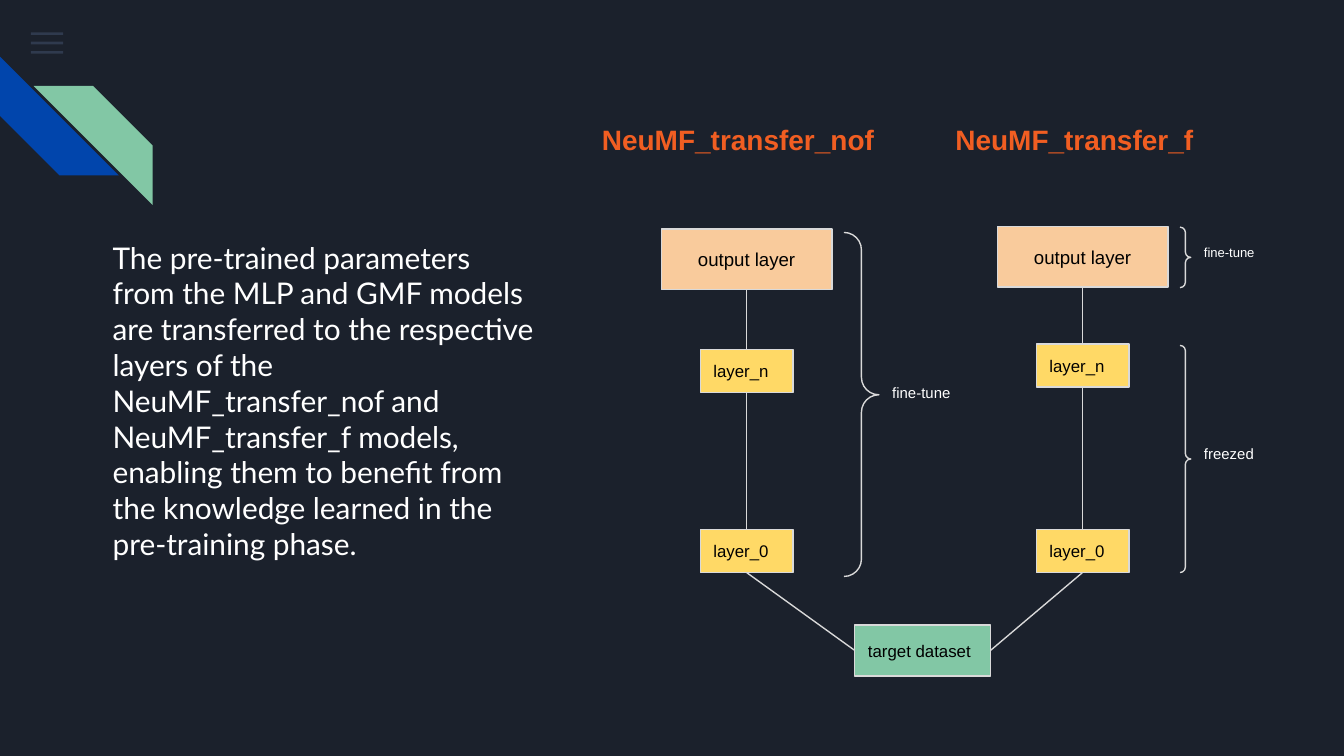
from pptx import Presentation
from pptx.dml.color import RGBColor
from pptx.enum.shapes import MSO_CONNECTOR, MSO_SHAPE
from pptx.enum.text import MSO_ANCHOR, MSO_AUTO_SIZE, PP_ALIGN
from pptx.oxml.ns import qn
from pptx.util import Inches, Pt
from lxml.etree import SubElement

COLORS = {
    "background": "1B212C", "menu": "55688B", "blue": "0145AC",
    "green": "82C7A5", "peach": "F9CB9C", "yellow": "FFD966",
    "line": "D9D9D9", "orange": "F15E22", "white": "FFFFFF", "black": "000000",
}
COLUMNS, ROWS = 100, 56.25
TOP, LEFT, BOTTOM, RIGHT = range(4)


def rgb(name):
    return RGBColor.from_string(COLORS[name])


class Slide:
    """Holds the style and the page; places are (column, row, columns, rows)."""

    def __init__(self, deck, font="Arial", line_width=0.75):
        self.page = deck.slides.add_slide(deck.slide_layouts[6])
        self.column = deck.slide_width / COLUMNS
        self.row = deck.slide_height / ROWS
        self.font = font
        self.line_width = Pt(line_width)
        self.page.background.fill.solid()
        self.page.background.fill.fore_color.rgb = rgb("background")

    def place(self, left, top, width, height):
        return (round(left * self.column), round(top * self.row),
                round(width * self.column), round(height * self.row))

    def shape(self, kind, at, fill=None, line=None, adjustments=(), rotation=0):
        shape = self.page.shapes.add_shape(kind, *self.place(*at))
        shape.shadow.inherit = False
        shape.rotation = rotation
        for index, value in enumerate(adjustments):
            shape.adjustments[index] = value
        if fill:
            shape.fill.solid()
            shape.fill.fore_color.rgb = rgb(fill)
        else:
            shape.fill.background()
        if line:
            shape.line.color.rgb = rgb(line)
            shape.line.width = self.line_width
        else:
            shape.line.fill.background()
        return shape

    def menu_bar(self, at, opacity):
        bar = self.shape(MSO_SHAPE.RECTANGLE, at, "menu")
        color = bar._element.spPr.find(qn("a:solidFill"))[0]
        SubElement(color, qn("a:alpha"), val=str(opacity * 1000))

    def add_text(self, box, text, size, color, align=PP_ALIGN.LEFT, bold=False, font=None):
        frame = box.text_frame
        frame.word_wrap = True
        frame.margin_left = frame.margin_right = Inches(0.1)
        frame.margin_top = frame.margin_bottom = Inches(0.1)
        para = frame.paragraphs[0]
        para.alignment = align
        span = para.add_run()
        span.text = text
        span.font.name = font or self.font
        span.font.size = Pt(size)
        span.font.bold = bold
        span.font.color.rgb = rgb(color)

    def node(self, text, at, fill, size=9, align=PP_ALIGN.LEFT):
        box = self.shape(MSO_SHAPE.RECTANGLE, at, fill, "line")
        box.text_frame.vertical_anchor = MSO_ANCHOR.MIDDLE
        self.add_text(box, text, size, "black", align)
        return box

    def label(self, text, at, size, color="white", **style):
        box = self.page.shapes.add_textbox(*self.place(*at))
        self.add_text(box, text, size, color, **style)
        box.text_frame.auto_size = MSO_AUTO_SIZE.SHAPE_TO_FIT_TEXT

    def brace(self, at, point=0.5):
        self.shape(MSO_SHAPE.RIGHT_BRACE, at, line="line", adjustments=(0.5, point))

    def connect(self, start, start_side, end, end_side):
        link = self.page.shapes.add_connector(MSO_CONNECTOR.STRAIGHT, 0, 0, 0, 0)
        link.begin_connect(start, start_side)
        link.end_connect(end, end_side)
        link.line.color.rgb = rgb("line")
        link.line.width = self.line_width
        SubElement(link._element.spPr, qn("a:effectLst"))

    def network(self, center, output_top, layer_n_top, target, target_side):
        """Stack one model's layers around a center column, linked to the data."""
        output = self.node("output layer", (center - 6.35, output_top, 12.7, 4.5),
                           "peach", 10, PP_ALIGN.CENTER)
        layer_n, layer_0 = [
            self.node(name, (center - 3.45, top, 6.9, 3.2), "yellow")
            for name, top in (("layer_n", layer_n_top), ("layer_0", 39.4))]
        self.connect(output, BOTTOM, layer_n, TOP)
        self.connect(layer_0, TOP, layer_n, BOTTOM)
        self.connect(layer_0, BOTTOM, target, target_side)


def main():
    deck = Presentation()
    deck.slide_width, deck.slide_height = Inches(10), Inches(5.625)
    slide = Slide(deck)

    for index in range(3):
        slide.menu_bar((2.3, 2.4 + 0.7 * index, 2.4, 0.2), 36)
    for at, fill, rotation in (((0, 4.2, 8.85, 8.85), "blue", 270),
                               ((2.5, 6.4, 8.85, 8.85), "green", 90)):
        slide.shape(MSO_SHAPE.DIAGONAL_STRIPE, at, fill,
                    adjustments=(0.5,), rotation=rotation)

    slide.label(
        "The pre-trained parameters from the MLP and GMF models are transferred "
        "to the respective layers of the NeuMF_transfer_nof and NeuMF_transfer_f "
        "models, enabling them to benefit from the knowledge learned in the "
        "pre-training phase.", (7.4, 16.8, 33.7, 29), 16, font="Lato")

    for title, left, width in (("NeuMF_transfer_nof", 43.8, 23.5),
                               ("NeuMF_transfer_f", 70.1, 20.8)):
        slide.label(title, (left, 8.1, width, 4.5), 15, "orange", bold=True)

    target = slide.node("target dataset", (63.6, 46.5, 10.1, 3.8), "green")
    slide.network(55.55, 17.05, 26, target, LEFT)
    slide.network(80.55, 16.85, 25.6, target, RIGHT)

    slide.brace((62.8, 17.3, 2.6, 25.6), 0.472)
    slide.brace((87.8, 16.9, 0.8, 4.5))
    slide.brace((87.8, 25.7, 0.8, 16.9))
    for text, left, top, height, size in (("fine-tune", 65.4, 27.9, 3.4, 8),
                                          ("fine-tune", 88.6, 17.6, 3.2, 7),
                                          ("freezed", 88.6, 32.4, 3.4, 8)):
        slide.label(text, (left, top, 10, height), size)

    deck.save("out.pptx")


if __name__ == "__main__":
    main()
